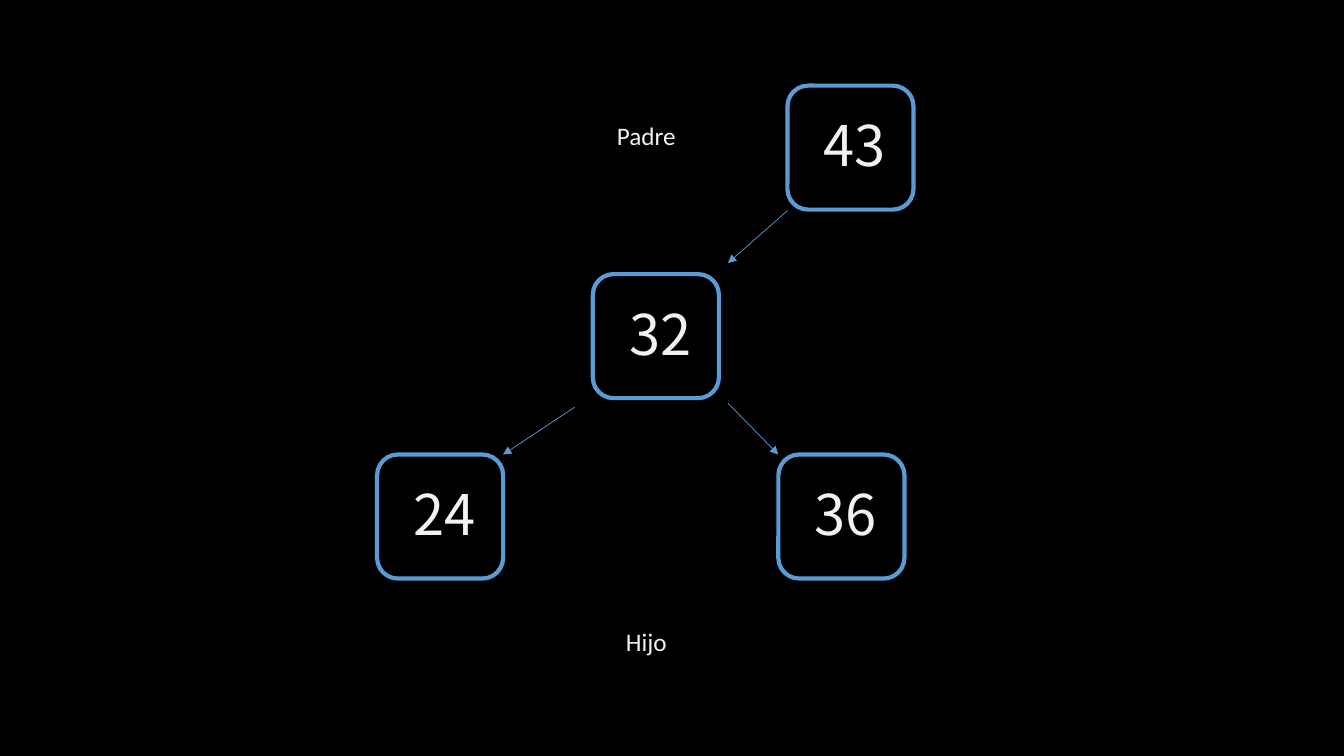
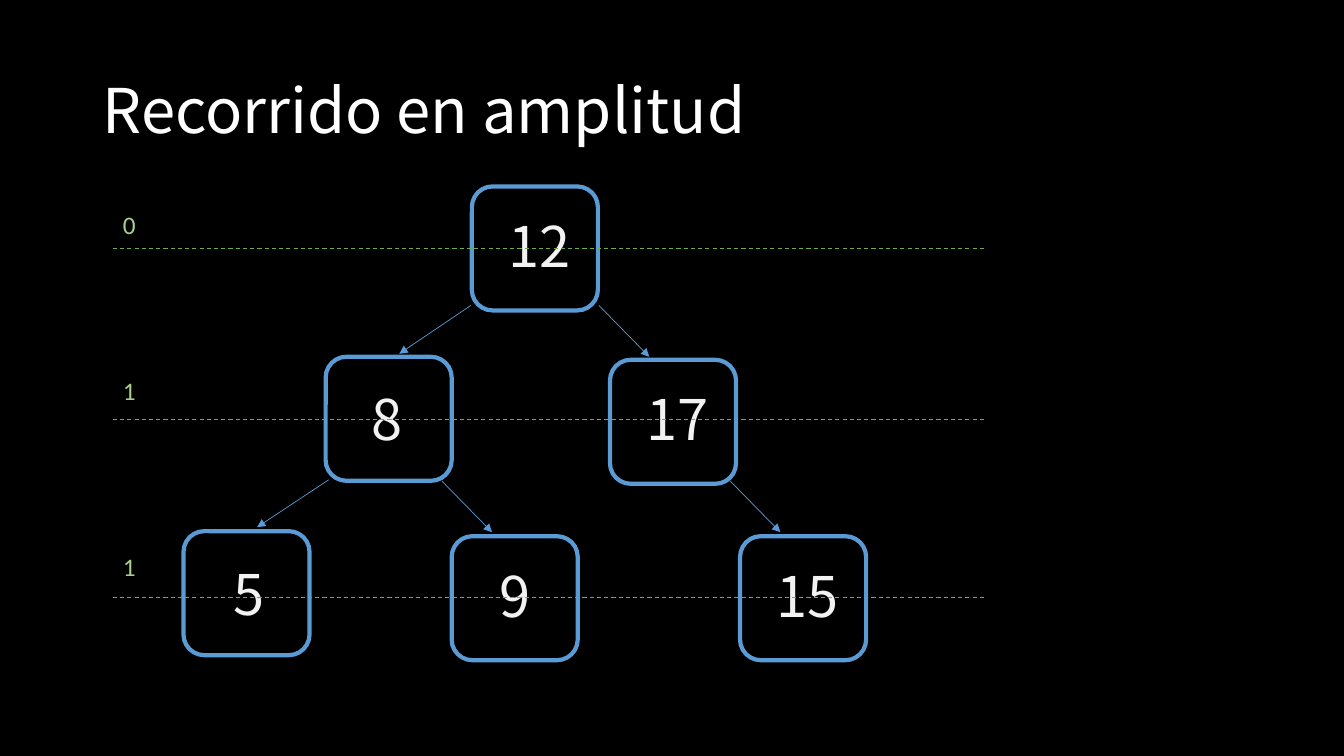
from lxml import etree
from pptx import Presentation
from pptx.dml.color import RGBColor
from pptx.enum.dml import MSO_LINE_DASH_STYLE as Dash
from pptx.enum.shapes import MSO_CONNECTOR as Connector, MSO_SHAPE as Shape
from pptx.enum.text import MSO_ANCHOR as Anchor, MSO_AUTO_SIZE as AutoSize
from pptx.oxml.ns import qn
from pptx.util import Inches, Pt

# Shared style
BLACK, WHITE, PALE = "000000", "FFFFFF", "F2F2F2"
BLUE, GREEN, LIGHT_GREEN = "5B9BD5", "70AD47", "A9D18E"
DISPLAY_FONT, LABEL_FONT = "Noto Sans CJK SC", "Calibri"
NODE_SIZE = (1.25, 1.23)
NUMBER_SIZE = (1.18, 0.77)
NUMBER_OFFSET = (0.26, 0.2)
LEVEL_LEFT, LEVEL_RIGHT = 1.12, 9.78

# Slide 1: nodes are (number, left, top), arrows are (from, to)
FAMILY_NODES = [
    ("32", 5.88, 2.72),
    ("24", 3.74, 4.51),
    ("36", 7.72, 4.51),
    ("43", 7.81, 0.85),
]
FAMILY_ARROWS = [
    ((5.7, 4.04), (4.99, 4.51)),
    ((7.22, 4), (7.72, 4.51)),
    ((7.81, 2.09), (7.22, 2.61)),
]
FAMILY_LABELS = [
    ("Padre", (6.02, 1.14, 0.79, 0.4)),
    ("Hijo", (6.11, 6.16, 0.61, 0.4)),
]

# Slide 2: a node may add its own number offset; levels are (label, label top, line)
TITLE = "Recorrido en amplitud"
TREE_NODES = [
    ("12", 4.68, 1.85),
    ("8", 3.23, 3.54, (0.36, 0.23)),
    ("17", 6.05, 3.57),
    ("5", 1.82, 5.27, (0.4, 0.23)),
    ("9", 4.48, 5.32, (0.38, 0.2)),
    ("15", 7.34, 5.32),
]
TREE_ARROWS = [
    ((4.67, 3.03), (3.96, 3.51)),
    ((5.94, 3.03), (6.44, 3.54)),
    ((3.26, 4.76), (2.55, 5.23)),
    ((4.38, 4.77), (4.88, 5.28)),
    ((7.24, 4.77), (7.74, 5.28)),
]
LEVELS = [("0", 2.03, 2.47), ("1", 3.67, 4.16), ("1", 5.42, 5.93)]


def color(value):
    return RGBColor.from_string(value)


def add_text(shapes, text, box, size=18, font=LABEL_FONT, fill=PALE,
             wrap=False, grow=True, anchor=Anchor.TOP, spacing=None):
    shape = shapes.add_textbox(*map(Inches, box))
    frame = shape.text_frame
    frame.word_wrap = wrap
    frame.auto_size = AutoSize.SHAPE_TO_FIT_TEXT if grow else AutoSize.NONE
    frame.vertical_anchor = anchor
    paragraph = frame.paragraphs[0]
    if spacing:
        paragraph.line_spacing = spacing
    run = paragraph.add_run()
    run.text = text
    run.font.size = Pt(size)
    run.font.name = font
    run.font.color.rgb = color(fill)
    # East Asian fonts also need the ea slot
    properties = run.font._element
    etree.SubElement(properties, qn("a:ea")).set("typeface", font)


def add_node(slide, number, left, top, offset=NUMBER_OFFSET):
    shapes = slide.shapes.add_group_shape().shapes
    add_text(shapes, number, (left + offset[0], top + offset[1], *NUMBER_SIZE),
             size=40, font=DISPLAY_FONT, wrap=True)
    box = shapes.add_shape(Shape.ROUNDED_RECTANGLE,
                           *map(Inches, (left, top, *NODE_SIZE)))
    box.shadow.inherit = False
    box.fill.background()
    box.line.color.rgb = color(BLUE)
    box.line.width = Pt(3)


def add_line(slide, start, end, stroke=BLUE, width=0.5, dash=None, arrow=False):
    connector = slide.shapes.add_connector(Connector.STRAIGHT,
                                           *map(Inches, (*start, *end)))
    line = connector.line
    line.color.rgb = color(stroke)
    line.width = Pt(width)
    if dash:
        line.dash_style = dash
    properties = connector._element.spPr
    if arrow:
        outline = properties.find(qn("a:ln"))
        etree.SubElement(outline, qn("a:tailEnd")).set("type", "triangle")
    etree.SubElement(properties, qn("a:effectLst"))


def add_tree(slide, nodes, arrows):
    for node in nodes:
        add_node(slide, *node)
    for start, end in arrows:
        add_line(slide, start, end, arrow=True)


presentation = Presentation()
presentation.slide_width = Inches(13.33)
presentation.slide_height = Inches(7.5)
background = presentation.slide_master.background.fill
background.solid()
background.fore_color.rgb = color(BLACK)
blank = presentation.slide_layouts[6]

# Parent and child
slide = presentation.slides.add_slide(blank)
add_tree(slide, FAMILY_NODES, FAMILY_ARROWS)
for label, box in FAMILY_LABELS:
    add_text(slide.shapes, label, box)

# Breadth-first traversal
slide = presentation.slides.add_slide(blank)
add_text(slide.shapes, TITLE, (0.92, 0.4, 11.5, 1.45), size=44,
         font=DISPLAY_FONT, fill=WHITE, wrap=True, grow=False,
         anchor=Anchor.MIDDLE, spacing=0.9)
add_tree(slide, TREE_NODES, TREE_ARROWS)
for label, label_top, line_top in LEVELS:
    add_line(slide, (LEVEL_LEFT, line_top), (LEVEL_RIGHT, line_top),
             stroke=GREEN, width=0.75, dash=Dash.DASH)
    add_text(slide.shapes, label, (LEVEL_LEFT, label_top, 0.33, 0.4),
             fill=LIGHT_GREEN)

presentation.save("out.pptx")
